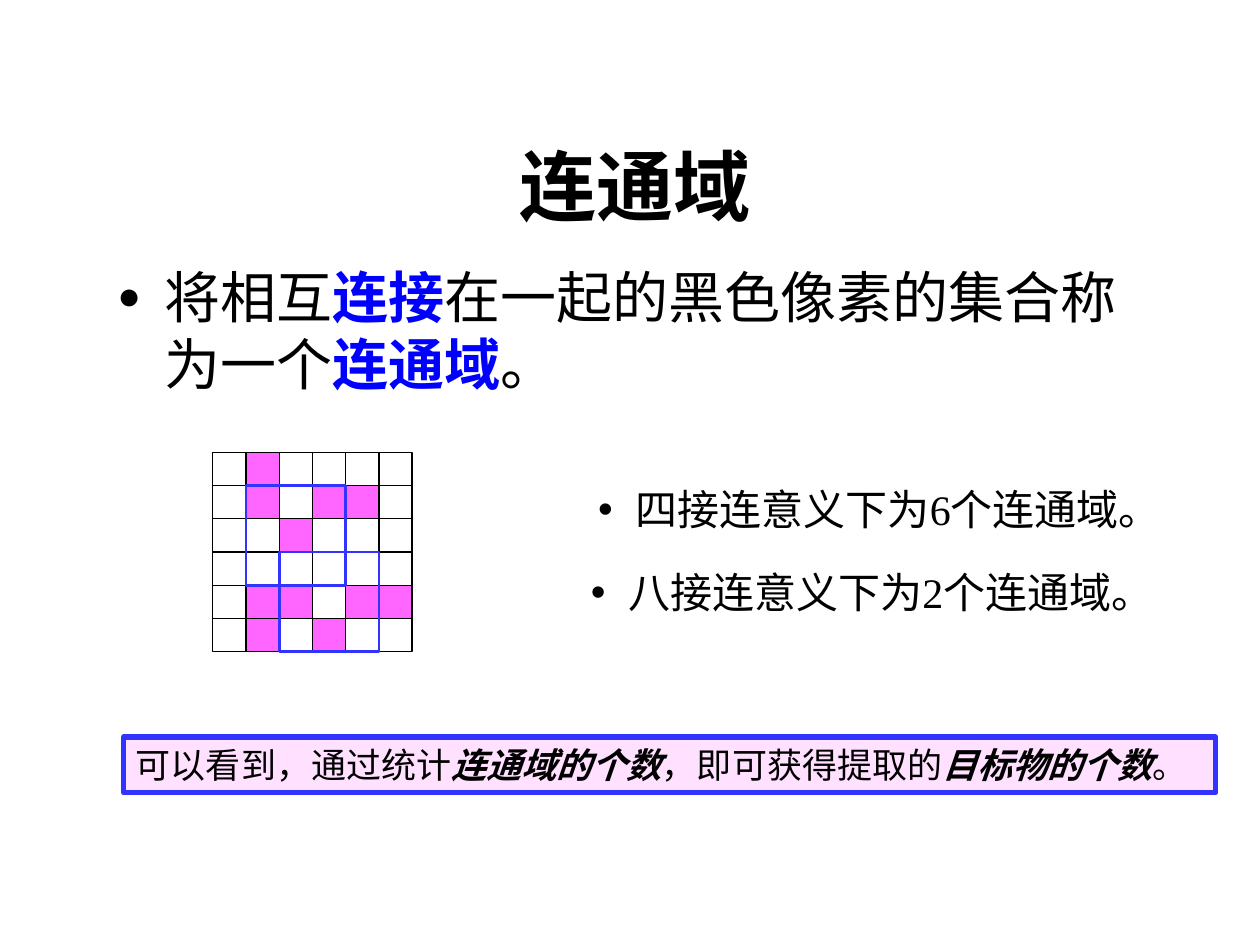
from lxml.etree import SubElement
from pptx import Presentation
from pptx.dml.color import RGBColor
from pptx.enum.shapes import MSO_SHAPE
from pptx.enum.text import MSO_ANCHOR, MSO_AUTO_SIZE, PP_ALIGN
from pptx.oxml.ns import qn
from pptx.util import Cm, Pt

BLACK = RGBColor(0x00, 0x00, 0x00)
WHITE = RGBColor(0xFF, 0xFF, 0xFF)
BLUE = RGBColor(0x00, 0x00, 0xFF)
FRAME_BLUE = RGBColor(0x33, 0x33, 0xFF)
PINK = RGBColor(0xFF, 0x66, 0xFF)
PALE_PINK = RGBColor(0xFF, 0xE1, 0xFF)
CHINESE_FONT = "Noto Sans CJK SC"

PLAIN = {"bold": False, "italic": False}
STRONG = {"bold": True, "italic": False}
STRONG_ITALIC = {"bold": True, "italic": True}

TITLE = [("连通域", STRONG, BLACK)]
DEFINITION = [
    ("将相互", PLAIN, BLACK),
    ("连接", STRONG, BLUE),
    ("在一起的黑色像素的集合称为一个", PLAIN, BLACK),
    ("连通域", STRONG, BLUE),
    ("。", PLAIN, BLACK),
]
COUNTS = [
    ("四接连意义下为6个连通域。", 11.81, 9.63),
    ("八接连意义下为2个连通域。", 11.66, 11.3),
]
CONCLUSION = [
    ("可以看到，通过统计", PLAIN, BLACK),
    ("连通域的个数", STRONG_ITALIC, BLACK),
    ("，即可获得提取的", PLAIN, BLACK),
    ("目标物的个数", STRONG_ITALIC, BLACK),
    ("。", PLAIN, BLACK),
]
PIXELS = [
    ".#....",
    ".#.##.",
    "..#...",
    "......",
    ".##.##",
    ".#.#..",
]
FRAMES = [(1, 1), (2, 3)]
FRAME_CELLS = 3
GRID_LEFT, GRID_TOP, CELL = 4.29, 9.12, 0.67


def place(shape, left, top, width, height):
    shape.left, shape.top = Cm(left), Cm(top)
    shape.width, shape.height = Cm(width), Cm(height)


def set_attributes(target, values):
    for name, value in values.items():
        setattr(target, name, value)


def add_bullet(paragraph, character, indent, percent=100):
    properties = paragraph._p.get_or_add_pPr()
    properties.set("marL", str(Cm(indent)))
    properties.set("indent", str(-Cm(indent)))
    SubElement(properties, qn("a:buSzPct"), val=str(percent * 1000))
    SubElement(properties, qn("a:buFont"), typeface="Arial")
    SubElement(properties, qn("a:buChar"), char=character)


def write(shape, runs, font_name, size, anchor, alignment=PP_ALIGN.LEFT):
    frame = shape.text_frame
    set_attributes(frame, {
        "word_wrap": True,
        "auto_size": MSO_AUTO_SIZE.NONE,
        "vertical_anchor": anchor,
    })
    paragraph = frame.paragraphs[0]
    set_attributes(paragraph, {"alignment": alignment, "space_before": Pt(0)})
    for text, style, color in runs:
        run = paragraph.add_run()
        run.text = text
        set_attributes(run.font, {"name": font_name, "size": Pt(size), **style})
        run.font.color.rgb = color
        SubElement(run._r.get_or_add_rPr(), qn("a:ea"), typeface=CHINESE_FONT)
    return paragraph


def add_rectangle(shapes, left, top, width, height, fill, line, line_width):
    shape = shapes.add_shape(
        MSO_SHAPE.RECTANGLE, Cm(left), Cm(top), Cm(width), Cm(height))
    shape.shadow.inherit = False
    if fill is None:
        shape.fill.background()
    else:
        shape.fill.solid()
        shape.fill.fore_color.rgb = fill
    shape.line.color.rgb = line
    shape.line.width = Pt(line_width)
    return shape


def cell_position(column, row):
    return GRID_LEFT + column * CELL, GRID_TOP + row * CELL


def add_pixel_grid(slide):
    group = slide.shapes.add_group_shape()
    for row, pixels in enumerate(PIXELS):
        for column, pixel in enumerate(pixels):
            fill = PINK if pixel == "#" else WHITE
            add_rectangle(group.shapes, *cell_position(column, row),
                          CELL, CELL, fill, BLACK, 0.75)
    side = FRAME_CELLS * CELL
    for column, row in FRAMES:
        add_rectangle(slide.shapes, *cell_position(column, row),
                      side, side, None, FRAME_BLUE, 1.5)


def main():
    presentation = Presentation()
    presentation.slide_width, presentation.slide_height = Cm(25.4), Cm(19.05)
    slide = presentation.slides.add_slide(presentation.slide_layouts[1])

    title = slide.shapes.title
    place(title, 2.11, 1.47, 21.39, 3.18)
    title.text_frame.margin_bottom = 0
    write(title, TITLE, "Montserrat", 44, MSO_ANCHOR.BOTTOM, PP_ALIGN.CENTER)

    body = slide.placeholders[1]
    place(body, 2.11, 5.16, 21.39, 11.23)
    definition = write(body, DEFINITION, "Arial", 32, MSO_ANCHOR.TOP)
    add_bullet(definition, "●", 0.95, 70)
    definition.line_spacing = Pt(38.4)

    add_pixel_grid(slide)

    for text, left, top in COUNTS:
        box = slide.shapes.add_textbox(Cm(left), Cm(top), Cm(12.5), Cm(1.27))
        count = write(box, [(text, PLAIN, BLACK)], "Times New Roman", 24,
                      MSO_ANCHOR.MIDDLE)
        add_bullet(count, "•", 0.76)

    conclusion = add_rectangle(slide.shapes, 2.49, 14.86, 22.02, 1.12,
                               PALE_PINK, FRAME_BLUE, 3)
    set_attributes(conclusion.text_frame, {"margin_top": 0, "margin_bottom": 0})
    write(conclusion, CONCLUSION, CHINESE_FONT, 20, MSO_ANCHOR.MIDDLE)

    presentation.save("out.pptx")


if __name__ == "__main__":
    main()
